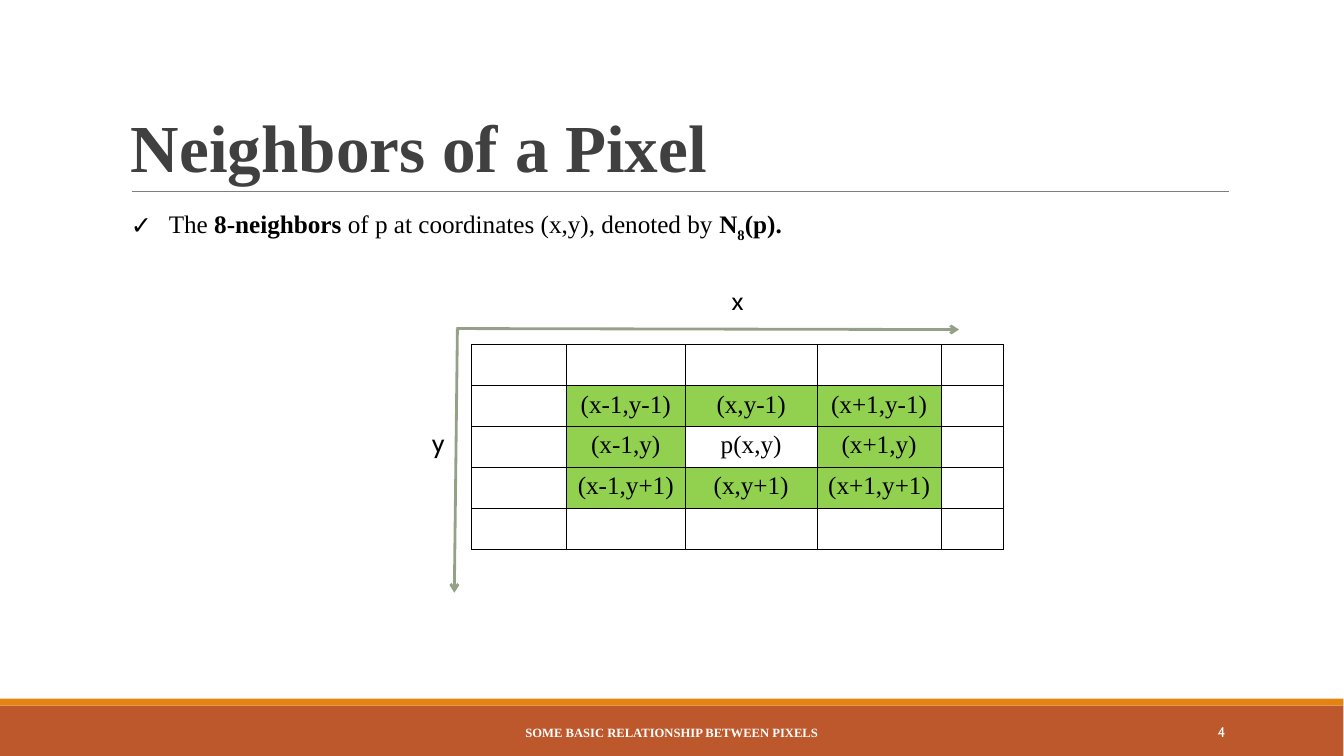
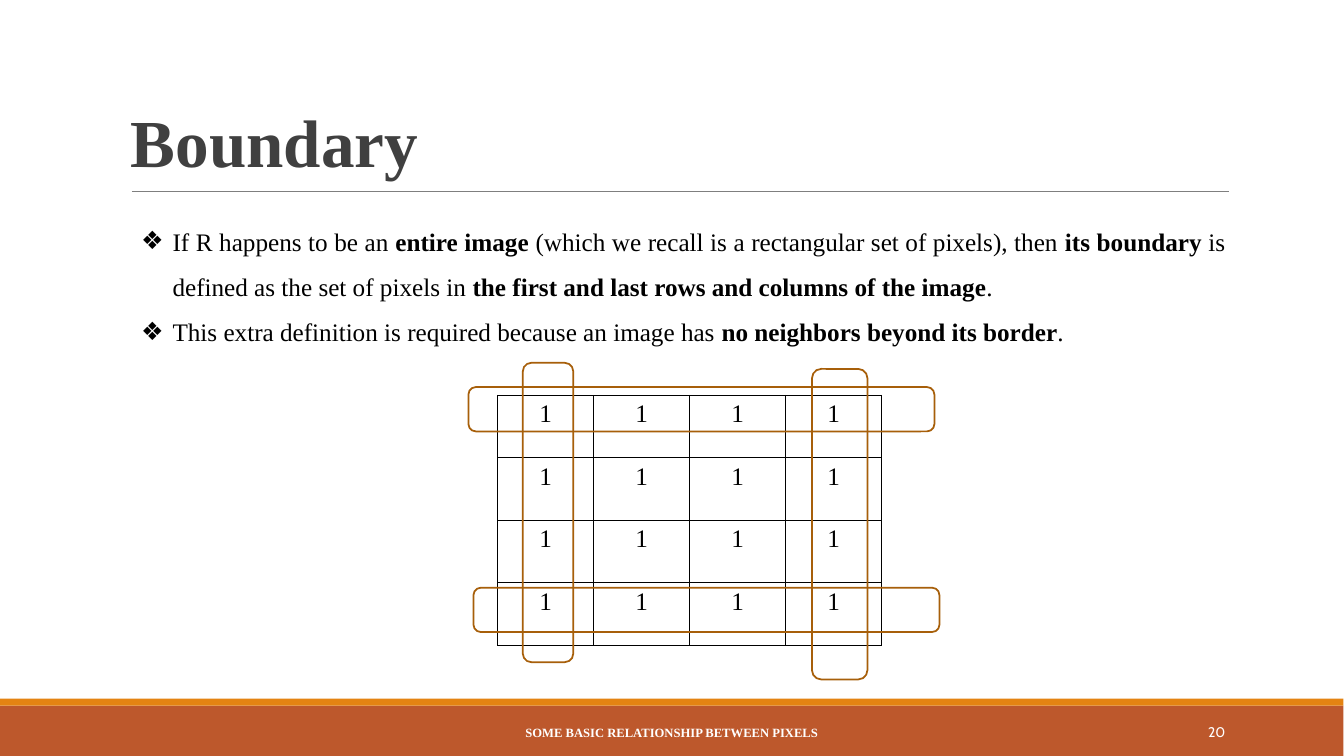
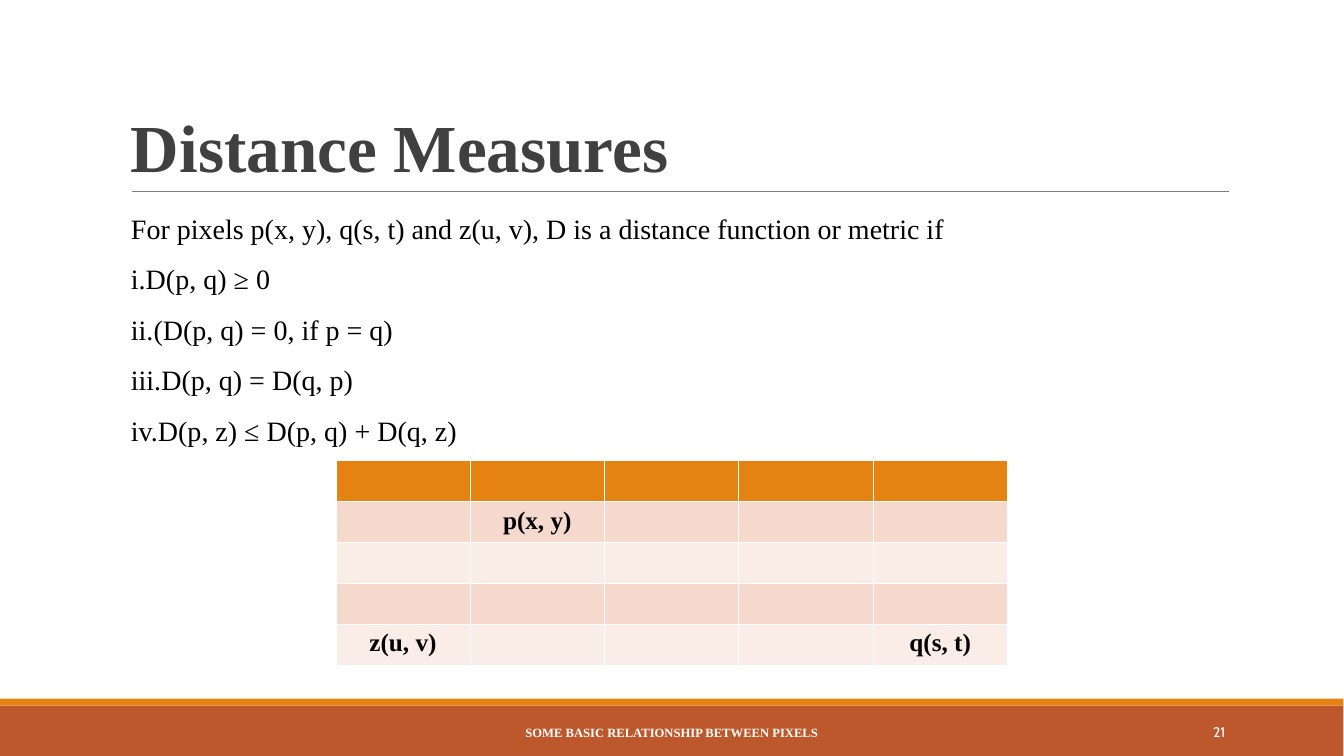
from dataclasses import dataclass
from typing import Callable, Optional, Sequence

import pptx
import pptx.dml.color
import pptx.enum.shapes
import pptx.enum.text
import pptx.oxml
import pptx.oxml.ns
import pptx.util

Pt = pptx.util.Pt
Align = pptx.enum.text.PP_ALIGN
Anchor = pptx.enum.text.MSO_ANCHOR
Shape = pptx.enum.shapes.MSO_SHAPE


# Theme and records
@dataclass(frozen=True)
class Theme:
    serif: str = "Times New Roman"
    sans: str = "Cabin"
    title_size: float = 48
    large: float = 20
    text: float = 18
    number: float = 10
    footer: float = 9
    black: str = "000000"
    white: str = "FFFFFF"
    title: str = "404040"
    band: str = "BD582C"
    accent: str = "E48312"
    rule: str = "7F7F7F"
    axis: str = "94A088"
    outline: str = "A75F0A"
    neighbor: str = "92D050"
    dark_row: str = "F5D9CC"
    light_row: str = "FAEDE7"


THEME = Theme()
FOOTER = "SOME BASIC RELATIONSHIP BETWEEN PIXELS"


@dataclass(frozen=True)
class Box:
    left: float
    top: float
    width: float
    height: float

    def lengths(self) -> tuple:
        return Pt(self.left), Pt(self.top), Pt(self.width), Pt(self.height)


@dataclass(frozen=True)
class Span:
    text: str
    bold: bool = False
    subscript: bool = False


@dataclass(frozen=True)
class Grid:
    left: float
    top: float
    columns: Sequence[float]
    row_height: float
    texts: Sequence[Sequence[str]]
    border: str = THEME.black
    bold: bool = False


def rgb(value: str) -> pptx.dml.color.RGBColor:
    return pptx.dml.color.RGBColor.from_string(value)


def element(markup: str):
    """Build a DrawingML element from markup such as '<a:buNone/>'."""
    tag, rest = markup[1:].split(" ", 1) if " " in markup else (markup[1:-2], "/>")
    return pptx.oxml.parse_xml(f"<{tag} {pptx.oxml.ns.nsdecls('a')} {rest}")


# Text
def write_para(para, content, *, size: float, font: str = THEME.serif,
               color: str = THEME.black, bold: bool = False, align=Align.LEFT,
               spacing: float = 1, bullet: str = "<a:buNone/>", indent: float = 0) -> None:
    props = para._p.get_or_add_pPr()
    props.set("marL", str(Pt(indent)))
    props.set("indent", str(-Pt(indent)))
    props.append(element(bullet))
    para.alignment = align
    para.line_spacing = spacing
    para.space_before = para.space_after = Pt(0)
    for part in [Span(content, bold)] if isinstance(content, str) else content:
        span = para.add_run()
        span.text = part.text
        span.font.name, span.font.size, span.font.bold = font, Pt(size), part.bold
        span.font.color.rgb = rgb(color)
        if part.subscript:
            span._r.get_or_add_rPr().set("baseline", "-25000")


def place(holder, box: Box, anchor=Anchor.TOP):
    """Position a placeholder or text box and return its text frame."""
    holder.left, holder.top, holder.width, holder.height = box.lengths()
    frame = holder.text_frame
    frame.word_wrap = True
    frame.auto_size = pptx.enum.text.MSO_AUTO_SIZE.NONE
    frame.vertical_anchor = anchor
    return frame


def add_label(page, text: str, box: Box, *, anchor=Anchor.TOP, **style) -> None:
    frame = place(page.shapes.add_textbox(*box.lengths()), box, anchor)
    write_para(frame.paragraphs[0], text, **style)


def write_body(page, box: Box, items: Sequence, bullets: Sequence[str], **style) -> None:
    frame = place(page.placeholders[1], box)
    for index, (item, bullet) in enumerate(zip(items, bullets)):
        para = frame.add_paragraph() if index else frame.paragraphs[0]
        write_para(para, item, bullet=bullet, **style)


# Shapes, lines and tables
def add_block(page, kind, box: Box, *, fill: Optional[str] = None,
              line: Optional[str] = None, weight: float = 1.25):
    block = page.shapes.add_shape(kind, *box.lengths())
    block.shadow.inherit = False
    for paint, color in ((block.fill, fill), (block.line.fill, line)):
        if color:
            paint.solid()
            paint.fore_color.rgb = rgb(color)
        else:
            paint.background()
    if line:
        block.line.width = Pt(weight)
    return block


def add_line(page, start: tuple, end: tuple, *, color: str, weight: float,
             arrow: bool = False):
    line = page.shapes.add_connector(pptx.enum.shapes.MSO_CONNECTOR.STRAIGHT,
                                     *(Pt(value) for value in start + end))
    line.line.color.rgb = rgb(color)
    line.line.width = Pt(weight)
    if arrow:
        line.line._get_or_add_ln().append(element('<a:tailEnd type="arrow"/>'))
    line.element.spPr.append(element("<a:effectLst/>"))
    return line


def set_border(cell, side: str, color: str, weight: float) -> None:
    border = element(f'<a:ln{side} w="{Pt(weight)}"/>')
    fill = element("<a:solidFill/>")
    fill.append(element(f'<a:srgbClr val="{color}"/>'))
    border.append(fill)
    cell._tc.get_or_add_tcPr().append(border)


def add_grid(page, grid: Grid, fill_at: Callable[[int, int], Optional[str]],
             heavy_edge: float = 0.45) -> None:
    """Draw a table; heavy_edge is the weight of the line under the first row."""
    box = Box(grid.left, grid.top, sum(grid.columns), grid.row_height * len(grid.texts))
    table = page.shapes.add_table(len(grid.texts), len(grid.columns), *box.lengths()).table
    table.first_row = table.horz_banding = False
    for column, width in zip(table.columns, grid.columns):
        column.width = Pt(width)
    for row_index, row in enumerate(grid.texts):
        table.rows[row_index].height = Pt(grid.row_height)
        for column_index, text in enumerate(row):
            cell = table.cell(row_index, column_index)
            for side in "LRTB":
                heavy = (row_index, side) in ((0, "B"), (1, "T"))
                set_border(cell, side, grid.border, heavy_edge if heavy else 0.45)
            color = fill_at(row_index, column_index)
            if color:
                cell.fill.solid()
                cell.fill.fore_color.rgb = rgb(color)
            else:
                cell.fill.background()
            if text:
                write_para(cell.text_frame.paragraphs[0], text, size=THEME.text,
                           bold=grid.bold, align=Align.CENTER)


# Parts shared by all slides
def decorate_layout(layout, page) -> None:
    """Draw the bands and title rule, then move them to the layout."""
    parts = (
        add_block(page, Shape.RECTANGLE, Box(0, 504, 960, 36), fill=THEME.band),
        add_block(page, Shape.RECTANGLE, Box(0, 499, 960, 5), fill=THEME.accent),
        add_line(page, (94.3, 136.8), (878.4, 136.8), color=THEME.rule, weight=0.5),
    )
    for index, part in enumerate(parts):
        part.element.xpath(".//p:cNvPr")[0].set("id", str(100 + index))
        layout.shapes.element.insert(2 + index, part.element)


def add_page(deck, title: str, number: str, title_top: float = 22.3):
    page = deck.slides.add_slide(deck.slide_layouts[1])
    frame = place(page.shapes.title, Box(86.4, title_top, 792, 114.5), Anchor.BOTTOM)
    write_para(frame.paragraphs[0], title, size=THEME.title_size, color=THEME.title,
               bold=True, spacing=0.85)
    add_label(page, number, Box(779.8, 508.3, 103, 28.8), anchor=Anchor.MIDDLE,
              size=THEME.number, font=THEME.sans, color=THEME.white, align=Align.RIGHT)
    add_label(page, FOOTER, Box(290.2, 509, 379.4, 28.8), anchor=Anchor.MIDDLE,
              size=THEME.footer, color=THEME.white, bold=True, align=Align.CENTER)
    return page


# Slides
def build_neighbors(deck) -> None:
    page = add_page(deck, "Neighbors of a Pixel", "4")
    decorate_layout(deck.slide_layouts[1], page)
    sentence = (Span("The "), Span("8-neighbors", True),
                Span(" of p at coordinates (x,y), denoted by "), Span("N", True),
                Span("8", True, True), Span("(p).", True))
    write_body(page, Box(86.4, 145.4, 614.2, 31.7), [sentence],
               ['<a:buChar char="✓"/>'], size=THEME.text, indent=27)
    blank = ("",) * 5
    texts = (blank,
             ("", "(x-1,y-1)", "(x,y-1)", "(x+1,y-1)", ""),
             ("", "(x-1,y)", "p(x,y)", "(x+1,y)", ""),
             ("", "(x-1,y+1)", "(x,y+1)", "(x+1,y+1)", ""),
             blank)

    def fill_at(row: int, column: int) -> str:
        is_neighbor = max(abs(row - 2), abs(column - 2)) == 1
        return THEME.neighbor if is_neighbor else THEME.white

    add_grid(page, Grid(337, 246.2, (67.7, 85, 94.3, 88.6, 44.6), 29, texts), fill_at)
    for start, end in (((326.2, 234.7), (685.4, 235.4)), ((326.9, 234.7), (324.7, 423.4))):
        add_line(page, start, end, color=THEME.axis, weight=2, arrow=True)
    for name, left, top in (("x", 509.8, 200.2), ("y", 295.9, 301.7)):
        add_label(page, name, Box(left, top, 34.6, 28.8), size=THEME.text,
                  font=THEME.sans, align=Align.CENTER)


def build_boundary(deck) -> None:
    page = add_page(deck, "Boundary", "20", title_top=18.7)
    items = (
        (Span("If R happens to be an "), Span("entire image ", True),
         Span("(which we recall is a rectangular set of pixels), then "),
         Span("its boundary ", True), Span("is defined as the set of pixels in "),
         Span("the first and last rows and columns of the image", True), Span(".")),
        (Span("This extra definition is required because an image has "),
         Span("no neighbors beyond its border", True), Span(".")),
    )
    write_body(page, Box(93.6, 146.9, 789.1, 104.4), items,
               ['<a:buChar char="❖"/>'] * len(items), size=THEME.text,
               align=Align.JUSTIFY, spacing=1.5, indent=22.5)
    add_grid(page, Grid(355.7, 282.2, (68.6,) * 4, 44.7, (("1",) * 4,) * 4),
             lambda row, column: None)
    # Outlines around the first and last rows and columns
    for box in (Box(334.8, 276.5, 333, 31.7), Box(338.4, 419.8, 333, 31.7),
                Box(373.7, 259.2, 36, 213.8), Box(580.3, 263.5, 39.6, 221.8)):
        add_block(page, Shape.FLOWCHART_ALTERNATE_PROCESS, box, line=THEME.outline)


def build_distance(deck) -> None:
    page = add_page(deck, "Distance Measures", "21")
    items = ("For pixels p(x, y), q(s, t) and z(u, v), D is a distance function or metric if",
             "D(p, q) ≥ 0", "(D(p, q) = 0, if p = q)", "D(p, q) = D(q, p)",
             "D(p, z) ≤ D(p, q) + D(q, z)")
    numbered = '<a:buAutoNum type="romanLcPeriod"/>'
    write_body(page, Box(86.4, 135.4, 792, 187.2), items,
               ["<a:buNone/>"] + [numbered] * 4, size=THEME.large,
               align=Align.JUSTIFY, spacing=1.5)
    blank = ("",) * 5
    texts = (blank, ("", "p(x, y)", "", "", ""), blank, blank,
             ("z(u, v)", "", "", "", "q(s, t)"))
    row_fills = (THEME.accent,) + (THEME.dark_row, THEME.light_row) * 2
    add_grid(page, Grid(240, 329, (96,) * 5, 29.2, texts, THEME.white, True),
             lambda row, column: row_fills[row], heavy_edge=1.47)


def main() -> None:
    deck = pptx.Presentation()
    deck.slide_width, deck.slide_height = Pt(960.48), Pt(540)
    for build in (build_neighbors, build_boundary, build_distance):
        build(deck)
    deck.save("out.pptx")


if __name__ == "__main__":
    main()
